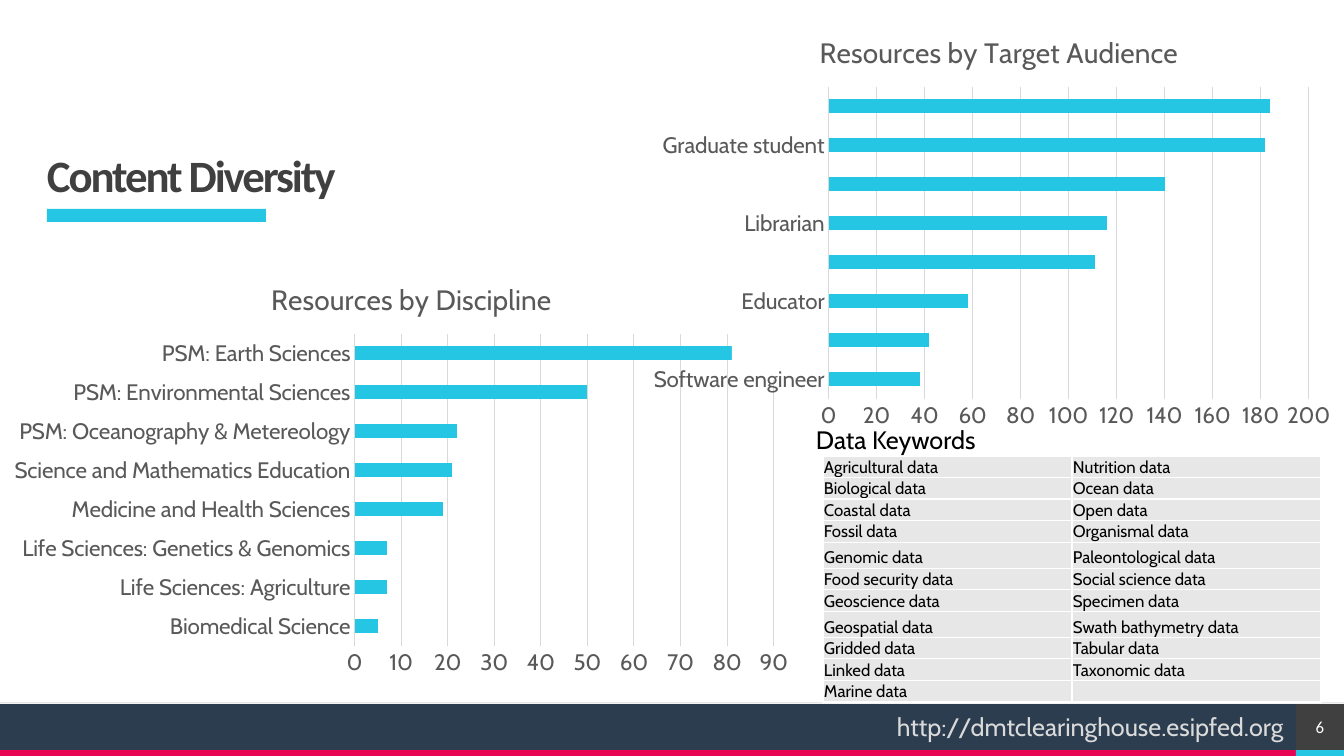
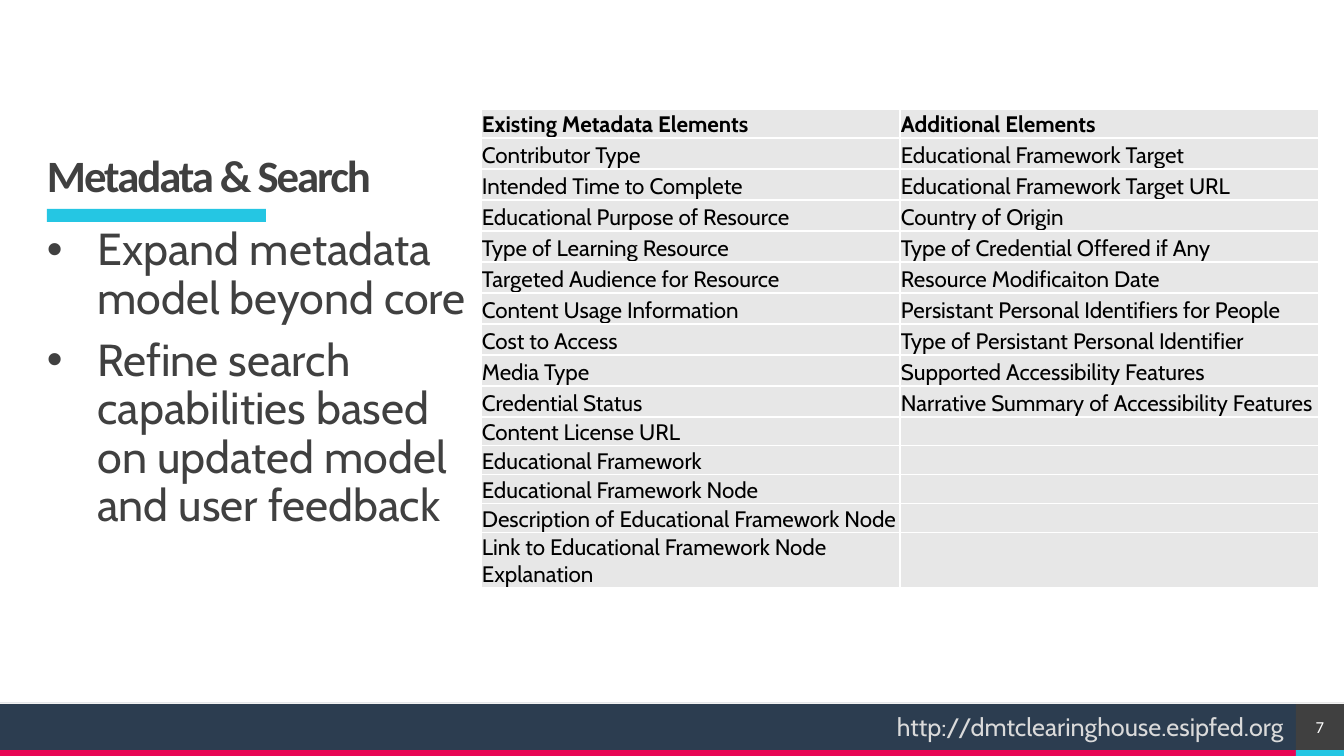
"""Build two slides on the content and metadata of a training catalogue."""
from lxml import etree
from pptx import Presentation
from pptx.chart.data import CategoryChartData as ChartData
from pptx.dml.color import RGBColor as RGB
from pptx.enum.chart import XL_CHART_TYPE as Chart, XL_TICK_MARK as Tick
from pptx.enum.shapes import MSO_CONNECTOR as Line, MSO_SHAPE as Shape
from pptx.enum.text import MSO_ANCHOR as Anchor, MSO_AUTO_SIZE as Fit, PP_ALIGN as Align
from pptx.oxml.ns import qn
from pptx.util import Emu, Pt


class Theme:
    cyan, navy, red, dark = (RGB.from_string(c) for c in ("25C6E3", "2C3D50", "E80554", "404040"))
    white, pale, grid, cell = (RGB.from_string(c) for c in ("FFFFFF", "F2F2F2", "D9D9D9", "E7E7E7"))
    title = dict(name="Calibri", size=Pt(32), bold=True, rgb=dark)
    body = dict(name="Cabin", size=Pt(32), rgb=dark)
    page = dict(name="Calibri", size=Pt(12), rgb=white)
    foot = dict(name="Cabin", size=Pt(18), rgb=RGB.from_string("DADADA"))
    label = dict(name="Cabin", size=Pt(18), rgb=RGB.from_string("000000"))
    small = dict(label, size=Pt(12), bold=False)
    text = dict(label, size=Pt(16), bold=False)
    axis = dict(name="Cabin", size=Pt(16), bold=False, rgb=RGB.from_string("595959"))
    head = dict(axis, size=Pt(20))


def px(*sizes):
    return [Emu(round(size * 12192000 / 1344)) for size in sizes]


def dress(font, look):
    for key, value in look.items():
        setattr(font.color if key == "rgb" else font, key, value)


deck = Presentation()
deck.slide_width, deck.slide_height = px(1344, 756)
points = ["Expand metadata model beyond core",
          "Refine search capabilities based on updated model and user feedback"]
bands = [(0, 703, 1296, 47, Theme.navy), (0, 750, 1296, 6, Theme.red),
         (1296, 750, 48, 6, Theme.cyan), (47, 209, 219, 13, Theme.cyan)]
flush = dict(margin_left=0, margin_right=0, margin_top=0, margin_bottom=0,
             word_wrap=True, auto_size=Fit.NONE)
slides, labels = [], []

for page, heading, items in [(6, "Content Diversity", []), (7, "Metadata & Search", points)]:
    slide = deck.slides.add_slide(deck.slide_layouts[1])
    slides.append(slide)
    title, body = slide.placeholders
    for holder, spot, lines, look, anchor in [
            (title, (47, 47, 433, 155), [heading], Theme.title, Anchor.BOTTOM),
            (body, (47, 227, 433, 420), items, Theme.body, Anchor.TOP)]:
        if not lines:
            holder.element.getparent().remove(holder.element)
            continue
        holder.left, holder.top, holder.width, holder.height = px(*spot)
        frame = holder.text_frame
        for key, value in dict(flush, vertical_anchor=anchor).items():
            setattr(frame, key, value)
        frame.text = "\n".join(lines)
        for rank, para in enumerate(frame.paragraphs):
            para.alignment, para.line_spacing = Align.LEFT, 0.9
            para.space_before = Pt(10 if rank else 0)
            dress(para.runs[0].font, look)
    title.text_frame.paragraphs[0].runs[0]._r.get_or_add_rPr().set("spc", "-150")
    for para in body.text_frame.paragraphs if items else []:
        props = para._p.get_or_add_pPr()
        props.set("marL", "457200")
        props.set("indent", "-457200")

    for *spot, color in bands + [(1296, 703, 48, 47, Theme.dark)]:
        box = slide.shapes.add_shape(Shape.RECTANGLE, *px(*spot))
        box.shadow.inherit = False
        box.fill.solid()
        box.fill.fore_color.rgb = color
        box.line.fill.background()
    frame = box.text_frame
    for key, value in dict(flush, vertical_anchor=Anchor.MIDDLE).items():
        setattr(frame, key, value)
    frame.text = str(page)
    frame.paragraphs[0].alignment = Align.CENTER
    dress(frame.paragraphs[0].runs[0].font, Theme.page)

    rule = slide.shapes.add_connector(Line.STRAIGHT, *px(1344, 703, 0, 703))
    rule.line.color.rgb, rule.line.width = Theme.pale, Pt(0.5)
    etree.SubElement(rule.element.spPr, qn("a:effectLst"))
    labels.append((slide, "http://dmtclearinghouse.esipfed.org", (887, 706, 409, 40), Theme.foot))

fields = [("Biomedical Science", 5), ("Life Sciences: Agriculture", 7),
          ("Life Sciences: Genetics & Genomics", 7), ("Medicine and Health Sciences", 19),
          ("Science and Mathematics Education", 21), ("PSM: Oceanography & Metereology", 22),
          ("PSM: Environmental Sciences", 50), ("PSM: Earth Sciences", 81)]
people = [("Software engineer", 38), ("", 42), ("Educator", 58), ("", 111),
          ("Librarian", 116), ("", 140), ("Graduate student", 182), ("", 184)]
charts = [("Resources by Discipline", fields, (0, 262, 806, 422), 90, 10, 0.33, (0.44, 0.52)),
          ("Resources by Target Audience", people, (638, 15, 706, 422), 200, 20, 0.25, (0.27, 0.68))]

for name, counts, spot, top, step, start, (left, width) in charts:
    if counts is people:
        mask = slides[0].shapes.add_shape(Shape.RECTANGLE, *px(732, 319, 125, 61))
        mask.shadow.inherit = False
        mask.fill.solid()
        mask.fill.fore_color.rgb = Theme.white
        mask.line.fill.background()
    data = ChartData()
    data.categories, numbers = zip(*counts)
    data.add_series("Series 1", numbers)
    chart = slides[0].shapes.add_chart(Chart.BAR_CLUSTERED, *px(*spot), data).chart
    chart.has_legend = False
    dress(chart.font, Theme.text)
    chart.has_title = True
    caption = chart.chart_title.text_frame
    caption.text = name
    dress(caption.paragraphs[0].runs[0].font, Theme.head)
    plot = chart.plots[0]
    plot.gap_width, plot.vary_by_categories = 182, False
    fill = plot.series[0].format.fill
    fill.solid()
    fill.fore_color.rgb = Theme.cyan
    names, values = chart.category_axis, chart.value_axis
    for axis in (names, values):
        axis.major_tick_mark = axis.minor_tick_mark = Tick.NONE
        dress(axis.tick_labels.font, Theme.axis)
    values.minimum_scale, values.maximum_scale, values.major_unit = 0, top, step
    values.has_major_gridlines = True
    values.format.line.fill.background()
    for line in (names.format.line, values.major_gridlines.format.line):
        line.color.rgb, line.width = Theme.grid, Pt(0.75)

    space = chart.element
    clear = etree.Element(qn("c:spPr"))
    etree.SubElement(clear, qn("a:noFill"))
    etree.SubElement(etree.SubElement(clear, qn("a:ln")), qn("a:noFill"))
    space.find(qn("c:chart")).addnext(clear)
    inner = dict(layoutTarget="inner", xMode="edge", yMode="edge", x=left, y=0.17, w=width, h=0.74)
    outer = dict(xMode="edge", yMode="edge", x=start, y=0.03)
    for tag, index, place in [("c:plotArea", 0, inner), ("c:title", 1, outer)]:
        part = space.find(qn("c:chart")).find(qn(tag))
        for old in part.findall(qn("c:layout")):
            part.remove(old)
        layout = etree.Element(qn("c:layout"))
        part.insert(index, layout)
        manual = etree.SubElement(layout, qn("c:manualLayout"))
        for key, value in place.items():
            etree.SubElement(manual, qn("c:" + key)).set("val", str(value))

words = [["Agricultural data", "Biological data", "Coastal data", "Fossil data", "Genomic data",
          "Food security data", "Geoscience data", "Geospatial data", "Gridded data",
          "Linked data", "Marine data"],
         ["Nutrition data", "Ocean data", "Open data", "Organismal data", "Paleontological data",
          "Social science data", "Specimen data", "Swath bathymetry data", "Tabular data",
          "Taxonomic data", ""]]
terms = [["Existing Metadata Elements", "Contributor Type", "Intended Time to Complete",
          "Educational Purpose of Resource", "Type of Learning Resource",
          "Targeted Audience for Resource", "Content Usage Information", "Cost to Access",
          "Media Type", "Credential Status", "Content License URL", "Educational Framework",
          "Educational Framework Node", "Description of Educational Framework Node",
          "Link to Educational Framework Node Explanation"],
         ["Additional Elements", "Educational Framework Target", "Educational Framework Target URL",
          "Country of Origin", "Type of Credential Offered if Any", "Resource Modificaiton Date",
          "Persistant Personal Identifiers for People", "Type of Persistant Personal Identifier",
          "Supported Accessibility Features", "Narrative Summary of Accessibility Features"]
         + [""] * 5]
tables = [(slides[0], words, (823, 456), 249, [21] * 4 + [26, 21, 21, 26] + [21] * 3, Theme.small, False),
          (slides[1], terms, (481, 109), 419, [29] + [31] * 9 + [29] * 4 + [55], Theme.text, True)]
pad = dict(zip(("margin_left", "margin_right", "margin_top", "margin_bottom"), px(1, 1, 1, 0)))

for slide, columns, spot, width, heights, look, header in tables:
    size = (width * len(columns), sum(heights))
    table = slide.shapes.add_table(len(heights), len(columns), *px(*spot, *size)).table
    table.first_row, table.horz_banding = header, False
    for row, height in zip(table.rows, px(*heights)):
        row.height = height
    for col, texts in enumerate(columns):
        table.columns[col].width = px(width)[0]
        for row, text in enumerate(texts):
            cell = table.cell(row, col)
            for key, value in dict(pad, vertical_anchor=Anchor.BOTTOM).items():
                setattr(cell, key, value)
            para = cell.text_frame.paragraphs[0]
            if text:
                run = para.add_run()
                run.text = text
                dress(run.font, dict(look, bold=header and row == 0))
            else:
                para._p.get_or_add_endParaRPr().set("sz", str(int(look["size"].pt * 100)))
            props = cell._tc.get_or_add_tcPr()
            for side in ("a:lnL", "a:lnR", "a:lnT", "a:lnB"):
                edge = etree.SubElement(props, qn(side), w="12700")
                paint = etree.SubElement(edge, qn("a:solidFill"))
                etree.SubElement(paint, qn("a:srgbClr"), val=str(Theme.white))
            cell.fill.solid()
            cell.fill.fore_color.rgb = Theme.cell

labels.append((slides[0], "Data Keywords", (806, 419, 183, 40), Theme.label))
for slide, text, spot, look in labels:
    frame = slide.shapes.add_textbox(*px(*spot)).text_frame
    frame.word_wrap, frame.auto_size = False, Fit.SHAPE_TO_FIT_TEXT
    frame.text = text
    dress(frame.paragraphs[0].runs[0].font, look)

deck.save("out.pptx")
